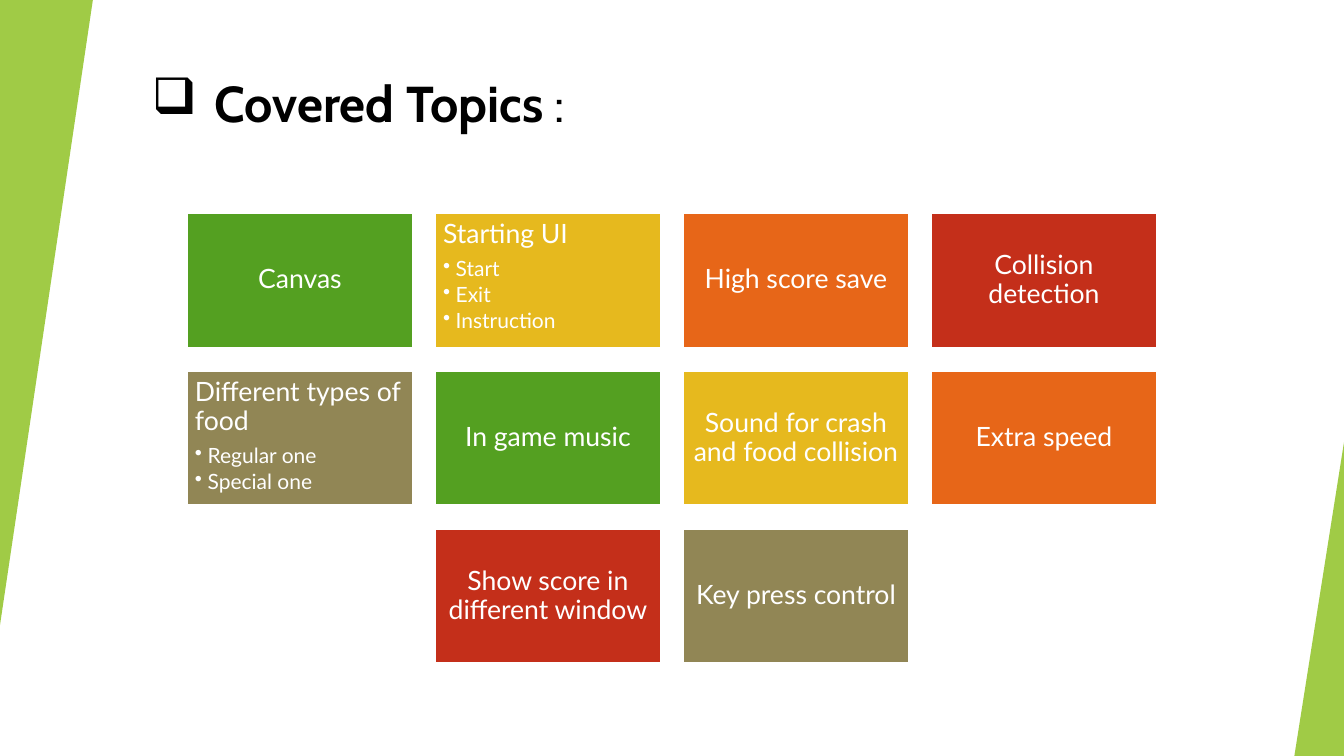
from lxml import etree
from pptx import Presentation
from pptx.dml.color import RGBColor
from pptx.enum.shapes import MSO_SHAPE
from pptx.enum.text import MSO_ANCHOR, PP_ALIGN
from pptx.oxml.ns import qn
from pptx.util import Cm, Pt

RECT, WEDGE = MSO_SHAPE.RECTANGLE, MSO_SHAPE.ISOSCELES_TRIANGLE
TOP, MIDDLE = MSO_ANCHOR.TOP, MSO_ANCHOR.MIDDLE
LEFT, CENTER = PP_ALIGN.LEFT, PP_ALIGN.CENTER

WIDTH, HEIGHT = 33.87, 19.05
TITLE = ("Covered Topics ", ":")
COLORS = ["54A021", "E6B91E", "E76618", "C42F1A", "918655"]
ROWS = [
    [("Canvas", []),
     ("Starting UI", ["Start", "Exit", "Instruction"]),
     ("High score save", []),
     ("Collision detection", [])],
    [("Different types of food", ["Regular one", "Special one"]),
     ("In game music", []),
     ("Sound for crash and food collision", []),
     ("Extra speed", [])],
    [("Show score in different window", []),
     ("Key press control", [])],
]
# left, top, width, height, rotation
WEDGES = [(0, 0, 2.34, 15.75, 180), (32.62, 11.15, 1.25, 7.9, 0)]
CARD_W, CARD_H = 5.69, 3.4
STEP_X, STEP_Y = 6.25, 3.98
GRID_TOP = 5.36


def rgb(code):
    return RGBColor.from_string(code)


def add_box(kind, left, top, width, height, color):
    box = slide.shapes.add_shape(kind, Cm(left), Cm(top), Cm(width), Cm(height))
    box.shadow.inherit = False
    box.fill.solid()
    box.fill.fore_color.rgb = rgb(color)
    return box


def set_bullet(para, mark, indent):
    props = para._p.get_or_add_pPr()
    props.set("marL", str(Cm(indent)))
    props.set("indent", str(-Cm(indent)))
    etree.SubElement(props, qn("a:buChar")).set("char", mark)


def style(para, size, color, font, after):
    para.font.size, para.font.name = Pt(size), font
    para.font.color.rgb = rgb(color)
    para.space_after = Pt(after)


def add_wedge(left, top, width, height, turn):
    wedge = add_box(WEDGE, left, top, width, height, "90C226")
    wedge.adjustments[0] = 1
    wedge.rotation = turn
    wedge.line.fill.background()
    tone = wedge._element.spPr.find(".//" + qn("a:srgbClr"))
    etree.SubElement(tone, qn("a:alpha")).set("val", "85000")


def add_title():
    box = slide.shapes.add_textbox(Cm(3.58), Cm(1.7), Cm(28.32), Cm(3.05))
    box.text_frame.word_wrap = True
    para = box.text_frame.paragraphs[0]
    style(para, 36, "000000", "Cabin", 6)
    set_bullet(para, "❑", 1.58)
    for text, bold in zip(TITLE, (True, False)):
        run = para.add_run()
        run.text, run.font.bold = text, bold


def add_card(left, top, color, head, items):
    card = add_box(RECT, left, top, CARD_W, CARD_H, color)
    card.line.color.rgb = rgb("FFFFFF")
    card.line.width = Pt(1.5)
    frame = card.text_frame
    frame.word_wrap = True
    frame.margin_left = frame.margin_right = Cm(0.2)
    frame.margin_top = frame.margin_bottom = Cm(0.2)
    frame.vertical_anchor = TOP if items else MIDDLE
    for n, text in enumerate([head] + items):
        para = frame.add_paragraph() if n else frame.paragraphs[0]
        para.text = text
        para.alignment = LEFT if items else CENTER
        para.line_spacing = 0.9
        if n:
            para.level = 1
            style(para, 15, "FFFFFF", "Lato", 2.25)
            set_bullet(para, "•", 0.32)
        else:
            style(para, 19, "FFFFFF", "Lato", 6.65)


deck = Presentation()
deck.slide_width, deck.slide_height = Cm(WIDTH), Cm(HEIGHT)
slide = deck.slides.add_slide(deck.slide_layouts[6])

add_title()
for wedge in WEDGES:
    add_wedge(*wedge)

count = 0
for r, row in enumerate(ROWS):
    start = (WIDTH - CARD_W - STEP_X * (len(row) - 1)) / 2
    for c, (head, items) in enumerate(row):
        color = COLORS[count % len(COLORS)]
        add_card(start + c * STEP_X, GRID_TOP + r * STEP_Y, color, head, items)
        count += 1

deck.save("out.pptx")
